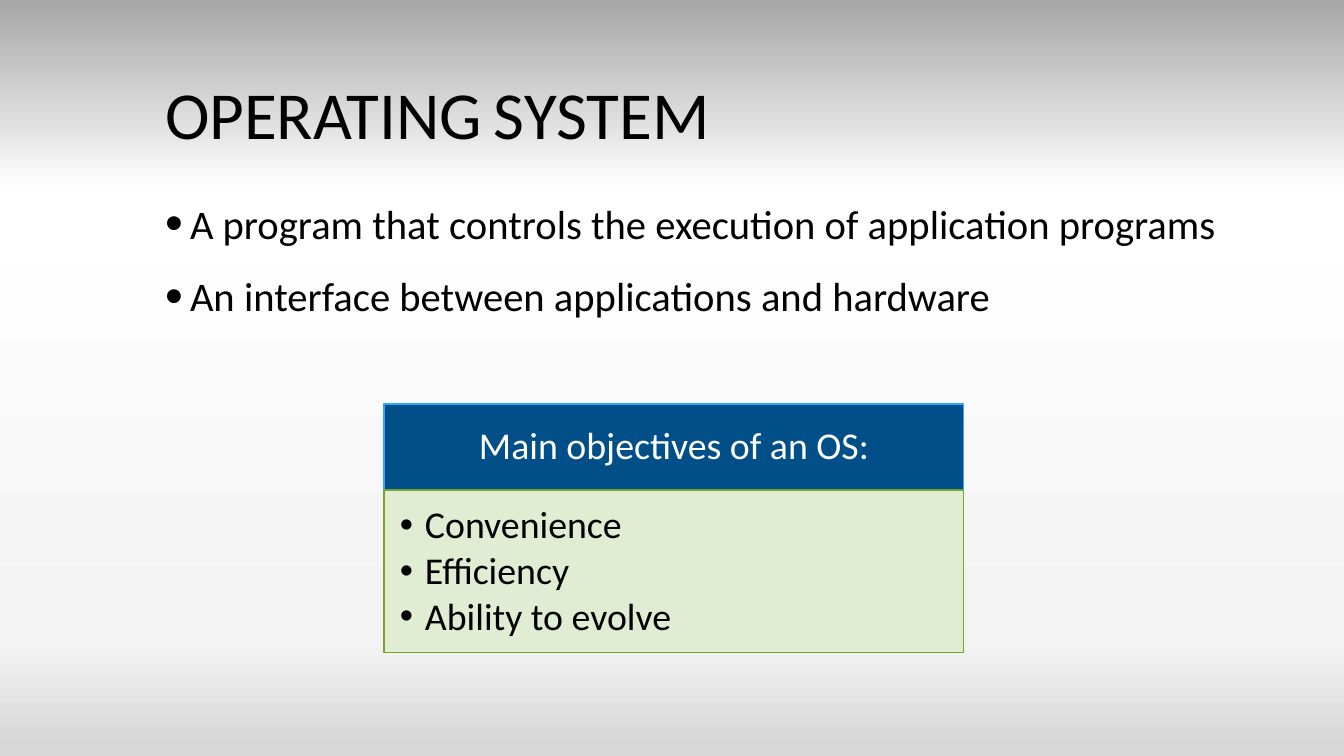
from lxml.etree import SubElement
from pptx import Presentation
from pptx.dml.color import RGBColor
from pptx.enum.shapes import MSO_SHAPE
from pptx.enum.text import MSO_ANCHOR, PP_ALIGN
from pptx.oxml.ns import qn
from pptx.util import Emu, Pt

EMU_PER_PIXEL = 914400 / 100.8
FONT = "Calibri"
COLOURS = {
    "text": "000000", "white": "FFFFFF",
    "header": "004F89", "header line": "30A7FF",
    "panel": "DEEDD0", "panel line": "76A52E",
}
BACKGROUND_STOPS = [(0, "D7D7D7"), (2, "D8D8D8"), (15, "F3F3F3"),
                    (75, "FFFFFF"), (100, "A7A7A7")]
STATEMENTS = ["A program that controls the execution of application programs",
              "An interface between applications and hardware"]
OBJECTIVES = ["Convenience", "Efficiency", "Ability to evolve"]
BULLET_INDENT = 25


def pixels(count):
    """Turn pixels into EMU."""
    return Emu(round(count * EMU_PER_PIXEL))


def colour(name):
    """Look up a named colour."""
    return RGBColor.from_string(COLOURS[name])


def set_background(slide):
    """Fill the background with a gradient running from bottom to top."""
    fill = slide.background.fill
    fill.gradient()
    fill.gradient_angle = 90
    stop_list = fill.gradient_stops[0]._gs.getparent()
    for stop in list(stop_list):
        stop_list.remove(stop)
    for percent, value in BACKGROUND_STOPS:
        stop = SubElement(stop_list, qn("a:gs"), pos=str(percent * 1000))
        SubElement(stop, qn("a:srgbClr"), val=value)


def set_frame(shape, insets, anchor):
    """Set wrapping, insets (left, top, right, bottom) and anchor."""
    frame = shape.text_frame
    frame.word_wrap = True
    frame.vertical_anchor = anchor
    (frame.margin_left, frame.margin_top,
     frame.margin_right, frame.margin_bottom) = map(pixels, insets)
    return frame


def add_text_box(slide, box, anchor=MSO_ANCHOR.TOP):
    """Add a text box and return its text frame."""
    shape = slide.shapes.add_textbox(*map(pixels, box))
    return set_frame(shape, (10, 5, 10, 5), anchor)


def add_panel(slide, box, fill, line, insets, anchor=MSO_ANCHOR.TOP, opacity=100):
    """Add a filled, outlined rectangle and return its text frame."""
    shape = slide.shapes.add_shape(MSO_SHAPE.RECTANGLE, *map(pixels, box))
    shape.shadow.inherit = False
    shape.fill.solid()
    shape.fill.fore_color.rgb = colour(fill)
    if opacity < 100:
        value = shape._element.spPr.find(qn("a:solidFill"))[0]
        SubElement(value, qn("a:alpha"), val=str(opacity * 1000))
    shape.line.color.rgb = colour(line)
    shape.line.width = Pt(0.75)
    return set_frame(shape, insets, anchor)


def add_run(paragraph, text, size, colour_name="text"):
    """Add one run of text."""
    run = paragraph.add_run()
    run.text = text
    run.font.name = FONT
    run.font.size = Pt(size)
    run.font.color.rgb = colour(colour_name)
    return run


def set_bullet(paragraph, percent):
    """Give a paragraph a hanging bullet of a relative size."""
    properties = paragraph._p.get_or_add_pPr()
    properties.set("marL", str(pixels(BULLET_INDENT)))
    properties.set("indent", str(-pixels(BULLET_INDENT)))
    SubElement(properties, qn("a:buSzPct"), val=str(percent * 1000))
    SubElement(properties, qn("a:buFont"), typeface="Arial")
    SubElement(properties, qn("a:buChar"), char="•")


def add_bullets(frame, items, size, line_spacing, before=0, after=0, percent=100):
    """Write a bulleted list into a text frame."""
    for index, item in enumerate(items):
        paragraph = frame.add_paragraph() if index else frame.paragraphs[0]
        paragraph.alignment = PP_ALIGN.LEFT
        paragraph.line_spacing = line_spacing
        paragraph.space_before = Pt(before)
        paragraph.space_after = Pt(after)
        set_bullet(paragraph, percent)
        add_run(paragraph, item, size)


def add_title(slide):
    """Add the slide title."""
    frame = add_text_box(slide, (155, 50, 1052, 135), MSO_ANCHOR.MIDDLE)
    paragraph = frame.paragraphs[0]
    paragraph.line_spacing = 0.9
    add_run(paragraph, "OPERATING", 48)
    add_run(paragraph, " ", 36, "panel line").font.bold = True
    add_run(paragraph, "SYSTEM", 48)


def add_objectives(slide):
    """Add the header and list of main objectives."""
    left, top, width, header_height, list_height = 384, 404, 580, 86, 163
    header = add_panel(slide, (left, top, width, header_height), "header",
                       "header line", (21, 12, 21, 12), MSO_ANCHOR.MIDDLE)
    paragraph = header.paragraphs[0]
    paragraph.alignment = PP_ALIGN.CENTER
    paragraph.line_spacing = 0.9
    add_run(paragraph, "Main objectives of an OS:", 27, "white")
    panel = add_panel(slide, (left, top + header_height, width, list_height),
                      "panel", "panel line", (16, 16, 21, 24), opacity=90)
    add_bullets(panel, OBJECTIVES, 27, 0.9, after=3.5)


def main():
    """Build and save the slide."""
    presentation = Presentation()
    presentation.slide_width = pixels(1344)
    presentation.slide_height = pixels(756)
    slide = presentation.slides.add_slide(presentation.slide_layouts[6])
    set_background(slide)
    add_title(slide)
    statements = add_text_box(slide, (155, 184, 1082, 531))
    add_bullets(statements, STATEMENTS, 29, 1.2, before=10, percent=125)
    add_objectives(slide)
    presentation.save("out.pptx")


main()
